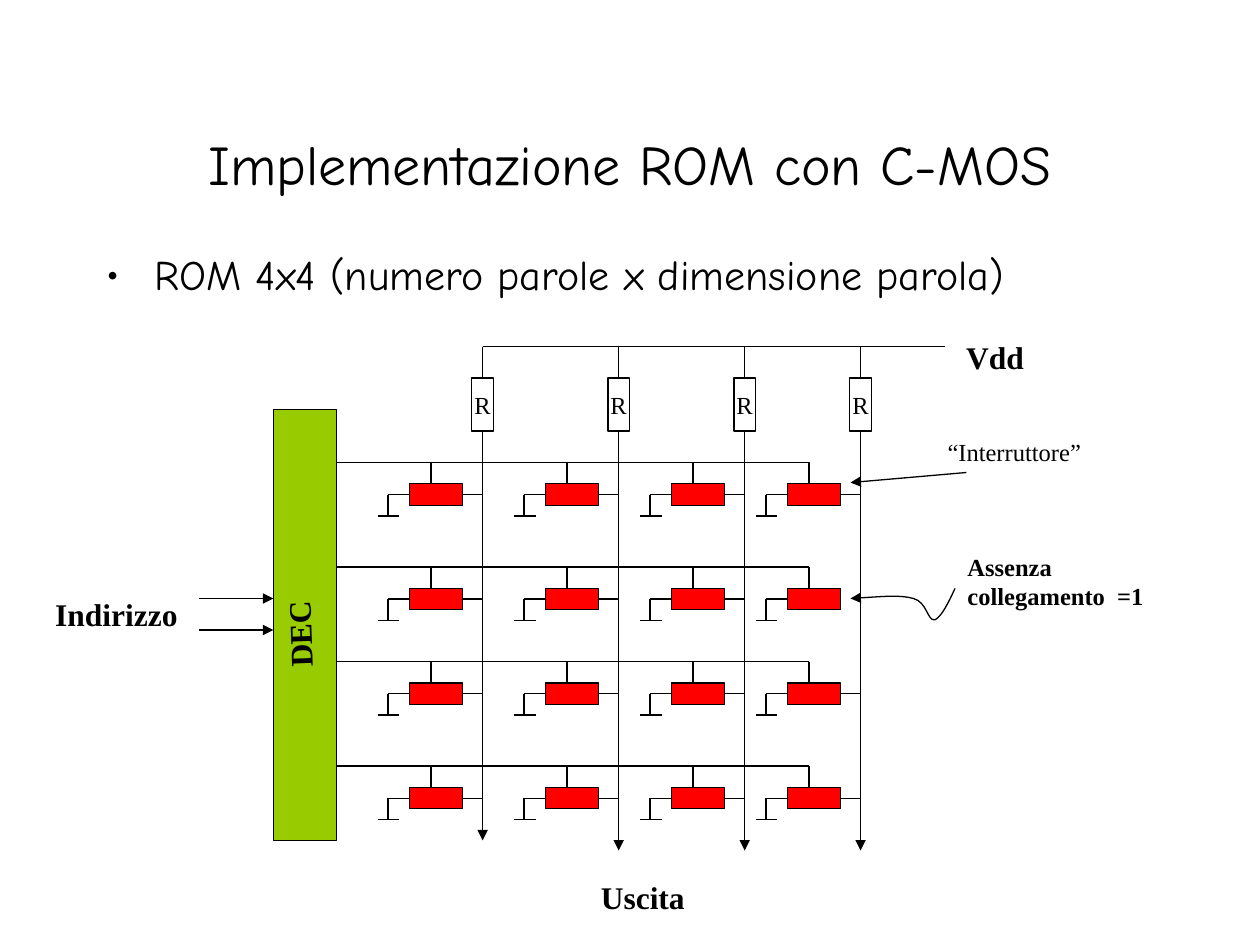
from dataclasses import dataclass

from lxml import etree
from pptx import Presentation
from pptx.dml.color import RGBColor
from pptx.enum.shapes import MSO_CONNECTOR, MSO_SHAPE
from pptx.enum.text import MSO_ANCHOR, MSO_AUTO_SIZE, PP_ALIGN
from pptx.oxml.ns import qn
from pptx.util import Inches, Pt

STRAIGHT = MSO_CONNECTOR.STRAIGHT
RECT = MSO_SHAPE.RECTANGLE
TOP, MIDDLE = MSO_ANCHOR.TOP, MSO_ANCHOR.MIDDLE
LEFT, CENTER, RIGHT = PP_ALIGN.LEFT, PP_ALIGN.CENTER, PP_ALIGN.RIGHT
GROW = MSO_AUTO_SIZE.SHAPE_TO_FIT_TEXT
NORTH, WEST, SOUTH, EAST = range(4)


@dataclass(frozen=True)
class Theme:
    """Colours, fonts and sizes of the slide."""
    ink: RGBColor = RGBColor(0, 0, 0)
    paper: RGBColor = RGBColor(255, 255, 255)
    green: RGBColor = RGBColor(0x99, 0xCC, 0)
    red: RGBColor = RGBColor(255, 0, 0)
    head: str = "Comic Neue"
    body: str = "Times New Roman"
    title: int = 32
    point: int = 24
    label: int = 18
    note: int = 14
    stroke: float = 0.75


THEME = Theme()


def write(frame, text, size=THEME.label, font=THEME.body, bold=False,
          align=LEFT, anchor=TOP, wrap=False, bullet=False):
    """Fill a text frame, one paragraph for each line of text."""
    frame.word_wrap = wrap
    frame.vertical_anchor = anchor
    for i, line in enumerate(text.split("\n")):
        para = frame.add_paragraph() if i else frame.paragraphs[0]
        para.alignment = align
        if bullet:
            props = para._p.get_or_add_pPr()
            props.set("marL", str(Inches(0.38)))
            props.set("indent", str(Inches(-0.38)))
            etree.SubElement(props, qn("a:buFont")).set("typeface", font)
            etree.SubElement(props, qn("a:buChar")).set("char", "•")
        run = para.add_run()
        run.text = line
        run.font.size = Pt(size)
        run.font.name = font
        run.font.bold = bold
        run.font.color.rgb = THEME.ink


def label(slide, box, text, grow=True, turn=0, **look):
    """Place a text box."""
    shape = slide.shapes.add_textbox(*map(Inches, box))
    write(shape.text_frame, text, **look)
    if grow:
        shape.text_frame.auto_size = GROW
    shape.rotation = turn


def ink(shape, arrow=False):
    """Give a shape or wire its thin line and optional arrowhead."""
    shape.line.color.rgb = THEME.ink
    shape.line.width = Pt(THEME.stroke)
    if arrow:
        line = shape.element.spPr.find(qn("a:ln"))
        etree.SubElement(line, qn("a:tailEnd")).set("type", "triangle")


def block(slide, box, fill):
    """Draw a filled rectangle."""
    shape = slide.shapes.add_shape(RECT, *map(Inches, box))
    shape.shadow.inherit = False
    shape.fill.solid()
    shape.fill.fore_color.rgb = fill
    ink(shape)
    return shape


def wire(slide, x1, y1, x2, y2, arrow=False, start=None, end=None):
    """Draw a straight wire; start and end are (shape, side) joints."""
    line = slide.shapes.add_connector(STRAIGHT, *map(Inches, (x1, y1, x2, y2)))
    ink(line, arrow)
    etree.SubElement(line.element.spPr, qn("a:effectLst"))
    if start:
        line.begin_connect(*start)
    if end:
        line.end_connect(*end)


def curve(slide, first, *points):
    """Draw an arrow of cubic curves, three points to each curve."""
    spots = [tuple(map(Inches, p)) for p in points]
    pen = slide.shapes.build_freeform(*map(Inches, first), scale=1.0)
    pen.add_line_segments(spots, close=False)
    shape = pen.convert_to_shape()
    shape.shadow.inherit = False
    shape.fill.background()
    ink(shape, arrow=True)
    steps = list(shape.element.iter(qn("a:lnTo")))
    for i in range(0, len(steps), 3):
        bend = etree.SubElement(steps[i].getparent(), qn("a:cubicBezTo"))
        for step in steps[i:i + 3]:
            bend.append(step[0])
            step.getparent().remove(step)


def heading(slide, x, y, w):
    """Place the title and its bullet point."""
    label(slide, (x, y, w, 1.25), "Implementazione ROM con C-MOS", grow=False,
          size=THEME.title, font=THEME.head, align=CENTER, anchor=MIDDLE, wrap=True)
    label(slide, (x, y + 1.25, w, 0.58), "ROM 4x4 (numero parole x dimensione parola)",
          grow=False, size=THEME.point, font=THEME.head, wrap=True, bullet=True)


def decoder(slide, x, y, w, h):
    """Place the decoder with its address inputs."""
    block(slide, (x, y, w, h), THEME.green)
    for drop in (1.5, 1.75):
        wire(slide, x - 0.59, y + drop, x, y + drop, arrow=True)
    label(slide, (x - 1.83, y + 1.42, 1.17, 0.4), "Indirizzo", bold=True)
    label(slide, (x - 0.16, y + 1.58, 0.73, 0.4), "DEC", turn=267.9, bold=True)


def cell(slide, x, y, linked):
    """Place one switch with its gate, ground and output wires."""
    w, h, gap = 0.42, 0.17, 0.17
    gate, axis = x + gap, y + h / 2
    base, foot = x - gap, axis + gap
    body = block(slide, (x, y, w, h), THEME.red)
    wire(slide, base, axis, x, axis, end=(body, WEST))
    wire(slide, base, axis, base, foot)
    wire(slide, base - 0.08, foot, base + 0.09, foot)
    wire(slide, gate, y - gap, gate, y)
    if linked:
        wire(slide, x + w, axis, x + 0.58, axis, start=(body, EAST))


def load(slide, x, y):
    """Place one resistor hanging from the supply rail."""
    w, h, lead = 0.17, 0.42, 0.25
    body = block(slide, (x - w / 2, y + lead, w, h), THEME.paper)
    write(body.text_frame, "R", size=THEME.note, align=CENTER, anchor=MIDDLE)
    wire(slide, x, y, x, y + lead, end=(body, NORTH))


def matrix(slide, x, y, w):
    """Place the word lines, bit lines, switches and supply."""
    cols = [x + d for d in (0.58, 1.66, 2.66, 3.58)]
    rows = [y + d for d in (0.92, 1.75, 2.5, 3.33)]
    open_spot = (1, 3)
    for i, row in enumerate(rows):
        wire(slide, x, row, x + w, row)
        for j, col in enumerate(cols):
            cell(slide, col, row + 0.17, (i, j) != open_spot)
    for j, col in enumerate(cols):
        bit = col + 0.58
        wire(slide, bit, y + 0.5, bit, y + (4 if j else 3.92), arrow=True)
        load(slide, bit, y)
    wire(slide, cols[0] + 0.58, y, x + 4.83, y)
    label(slide, (x + 4.9, y - 0.12, 0.66, 0.4), "Vdd", bold=True)
    label(slide, (x + 2, y + 4.17, 0.95, 0.4), "Uscita", bold=True)


def notes(slide, x, y):
    """Place the two remarks and their pointers."""
    label(slide, (x + 0.67, y, 1.26, 0.34), "“Interruttore”", size=THEME.note, align=RIGHT)
    wire(slide, x + 0.92, y + 0.33, x, y + 0.41, arrow=True)
    label(slide, (x + 0.83, y + 0.91, 1.67, 0.57), "Assenza\ncollegamento  =1",
          size=THEME.note, bold=True, wrap=True)
    bends = ((0.83, 1.25), (0.78, 1.36), (0.72, 1.48), (0.67, 1.5), (0.61, 1.51),
             (0.61, 1.36), (0.5, 1.33), (0.39, 1.3), (0.19, 1.32), (0, 1.33))
    curve(slide, *((x + dx, y + dy) for dx, dy in bends))


def main():
    """Build and save the slide."""
    deck = Presentation()
    deck.slide_width, deck.slide_height = Inches(10), Inches(7.5)
    slide = deck.slides.add_slide(deck.slide_layouts[6])
    heading(slide, 0.75, 0.67, 8.5)
    decoder(slide, 2.17, 3.25, 0.5, 3.42)
    matrix(slide, 2.67, 2.75, 3.75)
    notes(slide, 6.75, 3.42)
    deck.save("out.pptx")


if __name__ == "__main__":
    main()
